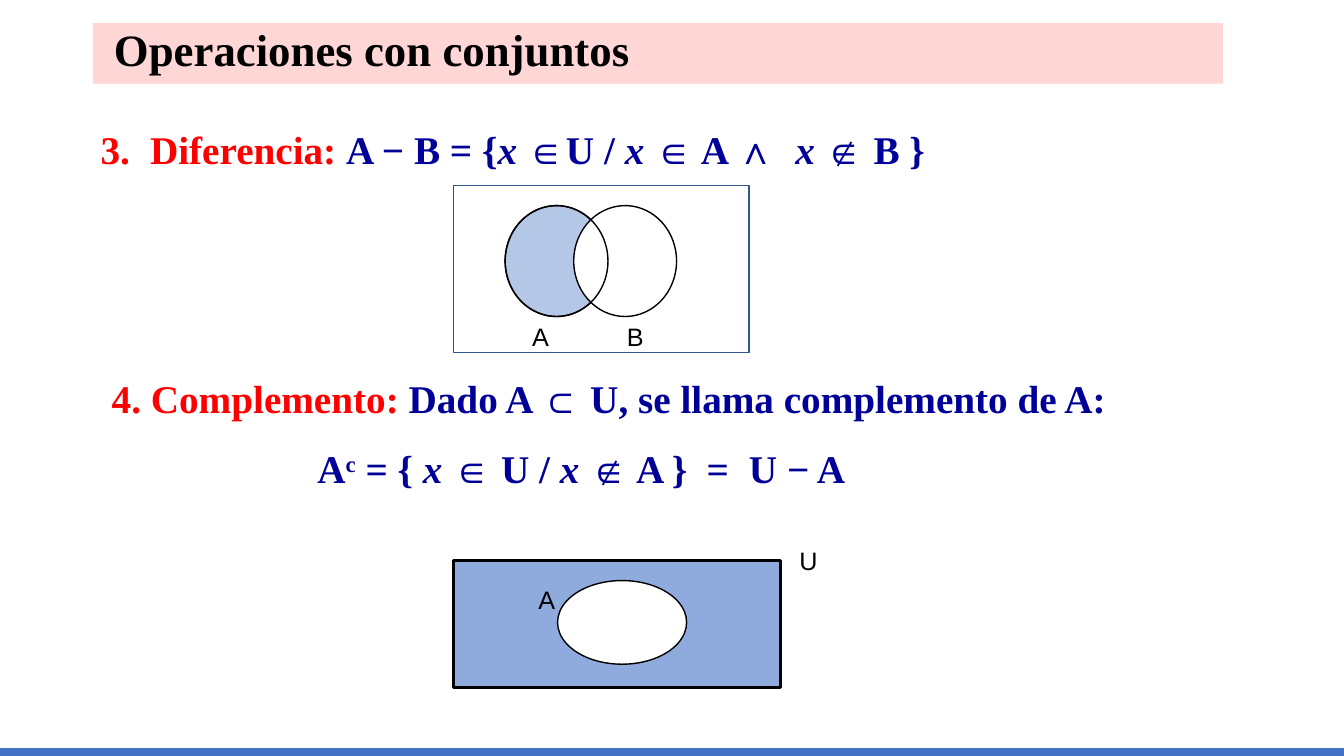
"""Build the slide on set difference and complement."""
from lxml.etree import SubElement
from pptx import Presentation
from pptx.dml.color import RGBColor
from pptx.enum.shapes import MSO_CONNECTOR, MSO_SHAPE
from pptx.enum.text import MSO_ANCHOR, MSO_AUTO_SIZE, PP_ALIGN
from pptx.oxml.ns import qn
from pptx.util import Inches, Pt

RED, NAVY, BLACK, WHITE = "FF0000", "000099", "000000", "FFFFFF"
TITLE = "Operaciones con conjuntos"
DIFF = [([("3.\tDiferencia: ", RED), ("A − B = {", NAVY), ("x", "i"),
          (" ∈U / ", NAVY), ("x", "i"), (" ∈ A ∧\t", NAVY), ("x", "i"),
          (" ∉ B }", NAVY)], (0.49, 6.89))]
COMP = [([("4. Complemento: ", RED),
          ("Dado A ⊂ U, se llama complemento de A:", NAVY)], ()),
        ([("\tA", NAVY), ("c", "sup"), (" = { ", NAVY), ("x", "i"),
          (" ∈ U / ", NAVY), ("x", "i"), (" ∉ A }\t=\tU − A", NAVY)],
         (2.04, 5.9, 6.32))]
TEXTS = [(DIFF, (0.9, 1.25, 11.5, 0.63), 0.9),
         (COMP, (1.01, 3.57, 11.65, 1.53), 1.2)]
RECT, OVAL = MSO_SHAPE.RECTANGLE, MSO_SHAPE.OVAL
SET_A, SET_B = (5.01, 2.04, 1.02, 1.1), (5.69, 2.04, 1.02, 1.1)
SHAPES = [(OVAL, SET_A, "B4C7E7", BLACK, 1),
          (OVAL, SET_B, WHITE, BLACK, 1),
          (OVAL, SET_A, None, BLACK, 1),
          (RECT, (4.5, 5.56, 3.24, 1.26), "8FAADC", BLACK, 2),
          (OVAL, (5.53, 5.76, 1.28, 0.83), WHITE, BLACK, 1),
          (RECT, (4.5, 1.84, 2.93, 1.66), None, "325491", 1)]
LABELS = [("A", 5.18, 3.14, PP_ALIGN.LEFT), ("B", 6.12, 3.14, PP_ALIGN.LEFT),
          ("U", 7.83, 5.36, PP_ALIGN.CENTER),
          ("A", 5.24, 5.75, PP_ALIGN.CENTER)]


def color(part, tint):
    part.rgb = RGBColor.from_string(tint)


def style(font, name, size, bold=False):
    font.name, font.size, font.bold = name, Pt(size), bold


def add_text(slide, paras, box, space):
    frame = slide.shapes.add_textbox(*map(Inches, box)).text_frame
    frame.word_wrap = True
    for row, (runs, stops) in enumerate(paras):
        para = frame.paragraphs[0] if row == 0 else frame.add_paragraph()
        para.alignment, para.line_spacing = PP_ALIGN.JUSTIFY, space
        if row:
            para.space_before = Pt(10)
        if stops:
            tabs = SubElement(para._p.get_or_add_pPr(), qn("a:tabLst"))
            for stop in stops:
                SubElement(tabs, qn("a:tab"), pos=str(Inches(stop)), algn="l")
        style(para.font, "Times New Roman", 28, True)
        for text, kind in runs:
            run = para.add_run()
            run.text = text
            color(run.font.color, RED if kind == RED else NAVY)
            if kind == "i":
                run.font.italic = True
            if kind == "sup":
                run.font._element.set("baseline", "30000")


def add_shape(slide, kind, box, fill, line, width):
    shape = slide.shapes.add_shape(kind, *map(Inches, box))
    shape.shadow.inherit = False
    if fill:
        shape.fill.solid()
        color(shape.fill.fore_color, fill)
    else:
        shape.fill.background()
    color(shape.line.color, line)
    shape.line.width = Pt(width)


def add_label(slide, text, left, top, align):
    box = slide.shapes.add_textbox(*map(Inches, (left, top, 0.31, 0.4)))
    frame = box.text_frame
    frame.word_wrap, frame.auto_size = True, MSO_AUTO_SIZE.SHAPE_TO_FIT_TEXT
    para = frame.paragraphs[0]
    para.text, para.alignment = text, align
    style(para.font, "Arial", 18)
    color(para.font.color, BLACK)


def add_title(slide):
    title = slide.shapes.title
    title.left, title.top, title.width, title.height = map(
        Inches, (0.92, 0.23, 11.21, 0.6))
    title.fill.solid()
    color(title.fill.fore_color, RED)
    tint = title._element.spPr.find(".//" + qn("a:srgbClr"))
    SubElement(tint, qn("a:alpha"), val="16000")
    frame = title.text_frame
    frame.margin_left = Inches(0.21)
    frame.vertical_anchor = MSO_ANCHOR.TOP
    frame.auto_size = MSO_AUTO_SIZE.NONE
    para = frame.paragraphs[0]
    para.text, para.alignment, para.line_spacing = TITLE, PP_ALIGN.LEFT, 0.9
    style(para.font, "Times New Roman", 32, True)
    color(para.font.color, BLACK)


def add_bar(slide):
    ends = map(Inches, (0, 7.46, 13.33, 7.46))
    bar = slide.shapes.add_connector(MSO_CONNECTOR.STRAIGHT, *ends)
    color(bar.line.color, "4472C4")
    bar.line.width = Pt(6)
    SubElement(bar._element.spPr, qn("a:effectLst"))


def main():
    deck = Presentation()
    deck.slide_width, deck.slide_height = Inches(13.33), Inches(7.5)
    slide = deck.slides.add_slide(deck.slide_layouts[5])
    add_bar(slide)
    add_title(slide)
    for item in TEXTS:
        add_text(slide, *item)
    for item in SHAPES:
        add_shape(slide, *item)
    for item in LABELS:
        add_label(slide, *item)
    deck.save("out.pptx")


if __name__ == "__main__":
    main()
